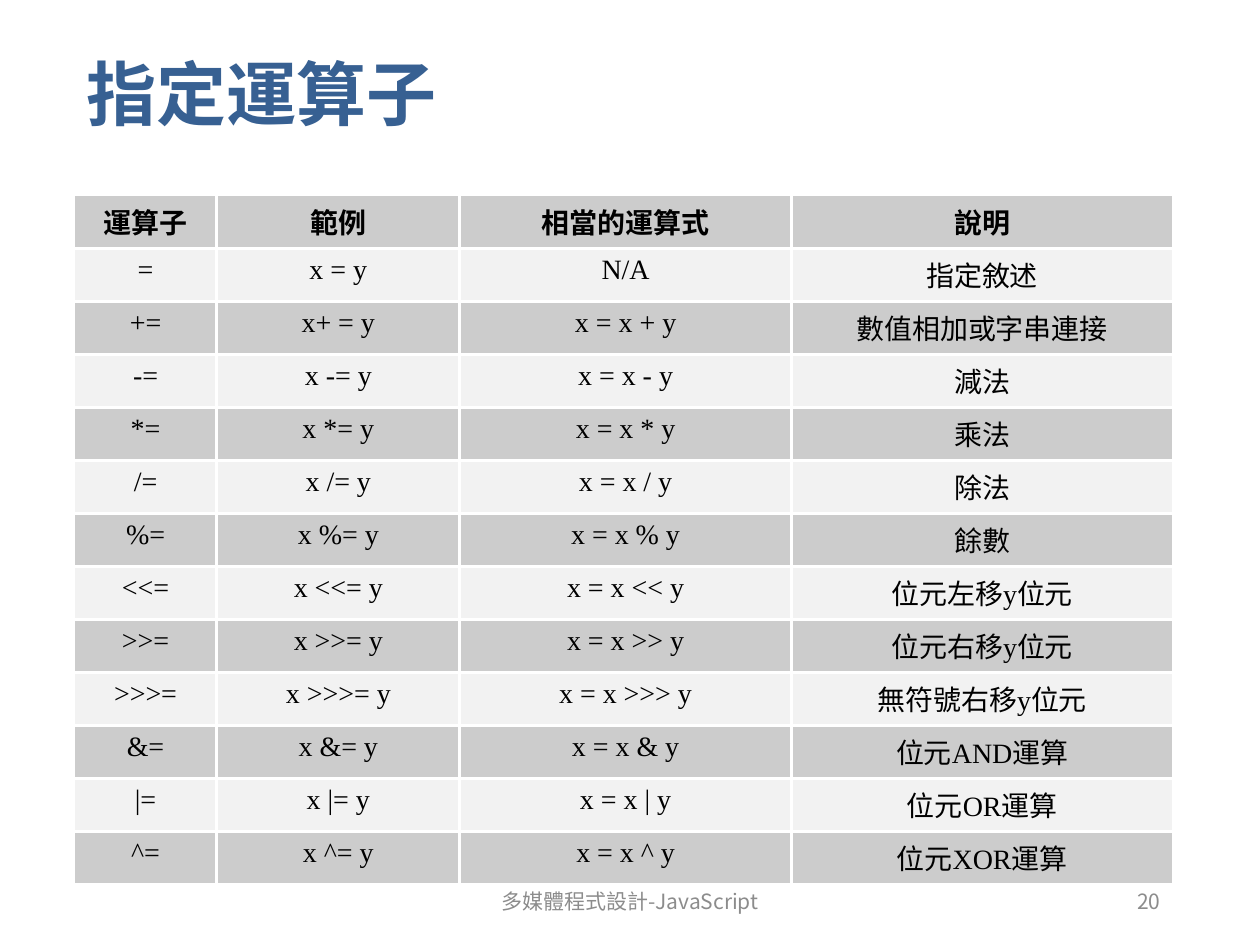
from dataclasses import dataclass

from lxml import etree
from pptx import Presentation
from pptx.dml.color import RGBColor
from pptx.enum.text import MSO_ANCHOR, MSO_AUTO_SIZE, PP_ALIGN
from pptx.oxml.ns import qn
from pptx.util import Inches, Pt

LEFT, CENTER, RIGHT = PP_ALIGN.LEFT, PP_ALIGN.CENTER, PP_ALIGN.RIGHT
MIDDLE = MSO_ANCHOR.MIDDLE
NO_AUTOFIT = MSO_AUTO_SIZE.NONE
TITLE_ONLY = 5

HEADINGS = ("運算子", "範例", "相當的運算式", "說明")
OPERATORS = (
    ("=", "x = y", "N/A", "指定敘述"),
    ("+=", "x+ = y", "x = x + y", "數值相加或字串連接"),
    ("-=", "x -= y", "x = x - y", "減法"),
    ("*=", "x *= y", "x = x * y", "乘法"),
    ("/=", "x /= y", "x = x / y", "除法"),
    ("%=", "x %= y", "x = x % y", "餘數"),
    ("<<=", "x <<= y", "x = x << y", "位元左移y位元"),
    (">>=", "x >>= y", "x = x >> y", "位元右移y位元"),
    (">>>=", "x >>>= y", "x = x >>> y", "無符號右移y位元"),
    ("&=", "x &= y", "x = x & y", "位元AND運算"),
    ("|=", "x |= y", "x = x | y", "位元OR運算"),
    ("^=", "x ^= y", "x = x ^ y", "位元XOR運算"),
)


@dataclass(frozen=True)
class TextStyle:
    """Font, size, colour and weight of a run."""

    font: str
    size: int
    color: str
    bold: bool = False


@dataclass(frozen=True)
class Theme:
    """Colours and type of the slide."""

    east_asian: str = "Noto Sans CJK KR"
    title: TextStyle = TextStyle("Arial", 40, "376092", True)
    heading: TextStyle = TextStyle("Times New Roman", 16, "000000", True)
    body: TextStyle = TextStyle("Times New Roman", 16, "000000")
    footer: TextStyle = TextStyle("Noto Sans CJK KR", 12, "8C8C8C")
    dark_band: str = "CCCCCC"
    light_band: str = "F2F2F2"
    rule: str = "FFFFFF"
    rule_width: int = 2


class SlideBuilder:
    """Draws elements on one slide, placed in percent of its size."""

    def __init__(self, presentation, theme):
        self.theme = theme
        self.width = presentation.slide_width
        self.height = presentation.slide_height
        layout = presentation.slide_layouts[TITLE_ONLY]
        self.slide = presentation.slides.add_slide(layout)

    def box(self, left, top, width, height):
        """Turn percentages into slide lengths."""
        return (
            int(self.width * left / 100),
            int(self.height * top / 100),
            int(self.width * width / 100),
            int(self.height * height / 100),
        )

    def add_text(self, paragraph, text, style, alignment):
        """Add one styled run to a paragraph."""
        paragraph.alignment = alignment
        run = paragraph.add_run()
        run.text = text
        font = run.font
        font.name = style.font
        font.size = Pt(style.size)
        font.bold = style.bold
        font.color.rgb = RGBColor.from_string(style.color)
        east_asian = etree.SubElement(run._r.get_or_add_rPr(), qn("a:ea"))
        east_asian.set("typeface", self.theme.east_asian)

    def title(self, text, *place):
        """Move and fill the title placeholder."""
        shape = self.slide.shapes.title
        shape.left, shape.top, shape.width, shape.height = self.box(*place)
        frame = shape.text_frame
        frame.auto_size = NO_AUTOFIT
        frame.vertical_anchor = MIDDLE
        self.add_text(frame.paragraphs[0], text, self.theme.title, LEFT)

    def footer(self, text, alignment, *place):
        """Add a line of footer text."""
        frame = self.slide.shapes.add_textbox(*self.box(*place)).text_frame
        frame.word_wrap = True
        frame.vertical_anchor = MIDDLE
        self.add_text(frame.paragraphs[0], text, self.theme.footer, alignment)

    def borders(self, cell, edges):
        """Rule the named edges of a cell."""
        properties = cell._tc.get_or_add_tcPr()
        for edge in edges:
            line = etree.SubElement(properties, qn(f"a:ln{edge}"))
            line.set("w", str(Pt(self.theme.rule_width)))
            fill = etree.SubElement(line, qn("a:solidFill"))
            etree.SubElement(fill, qn("a:srgbClr")).set("val", self.theme.rule)

    def cell(self, cell, text, style, band, edges):
        """Fill, rule and letter one table cell."""
        self.borders(cell, edges)
        cell.fill.solid()
        cell.fill.fore_color.rgb = RGBColor.from_string(band)
        paragraph = cell.text_frame.paragraphs[0]
        self.add_text(paragraph, text, style, CENTER)
        properties = paragraph._p.get_or_add_pPr()
        properties.set("marL", str(Inches(0.38)))
        properties.set("indent", str(Inches(-0.38)))

    def table(self, rows, column_shares, row_shares, *place):
        """Add a banded table with ruled inner edges."""
        last_row, last_column = len(rows) - 1, len(column_shares) - 1
        frame = self.slide.shapes.add_table(
            len(rows), len(column_shares), *self.box(*place)
        )
        table = frame.table
        for column, share in zip(table.columns, column_shares):
            column.width = int(self.width * share / 100)
        for row, share in zip(table.rows, row_shares):
            row.height = int(self.height * share / 100)
        for row, texts in enumerate(rows):
            style = self.theme.body if row else self.theme.heading
            band = self.theme.light_band if row % 2 else self.theme.dark_band
            for column, text in enumerate(texts):
                inner = {
                    "L": column > 0,
                    "R": column < last_column,
                    "T": row > 0,
                    "B": row < last_row,
                }
                edges = [edge for edge, ruled in inner.items() if ruled]
                self.cell(table.cell(row, column), text, style, band, edges)


def main():
    """Build and save the assignment operators slide."""
    presentation = Presentation()
    presentation.slide_width = Inches(10)
    presentation.slide_height = Inches(7.5)
    builder = SlideBuilder(presentation, Theme())
    builder.title("指定運算子", 5.9, 0.67, 87.2, 18.27)
    builder.table(
        (HEADINGS, *OPERATORS),
        (11.3, 19.3, 26.3, 30.3),
        (5.6, *[4.8] * len(OPERATORS)),
        5.9, 20.67, 87.2, 64.27,
    )
    builder.footer("多媒體程式設計-JavaScript", CENTER, 33.1, 92.67, 33.8, 5.33)
    builder.footer("20", RIGHT, 70.6, 92.67, 22.5, 5.33)
    presentation.save("out.pptx")


if __name__ == "__main__":
    main()
